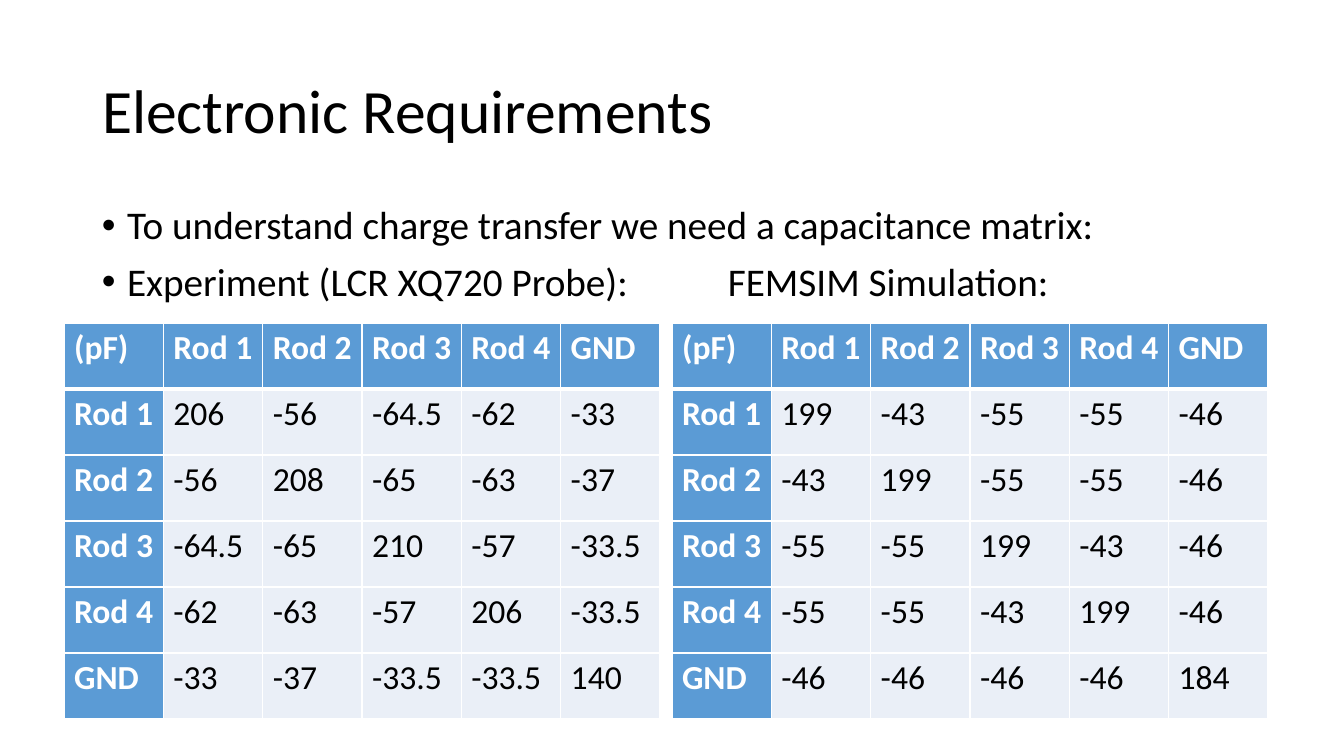
from lxml import etree
from pptx import Presentation
from pptx import util as u
from pptx.dml.color import RGBColor
from pptx.enum import text
from pptx.oxml.ns import qn

EMU_PER_PX = 914400 / 100.8
FONT = "Calibri"
BLACK, WHITE, BLUE, PALE = "000000", "FFFFFF", "5B9BD5", "EAEFF7"

HEADS = ["Rod 1", "Rod 2", "Rod 3", "Rod 4", "GND"]
EXPERIMENT = [
    ["206", "-56", "-64.5", "-62", "-33"],
    ["-56", "208", "-65", "-63", "-37"],
    ["-64.5", "-65", "210", "-57", "-33.5"],
    ["-62", "-63", "-57", "206", "-33.5"],
    ["-33", "-37", "-33.5", "-33.5", "140"],
]
SIMULATION = [
    ["199", "-43", "-55", "-55", "-46"],
    ["-43", "199", "-55", "-55", "-46"],
    ["-55", "-55", "199", "-43", "-46"],
    ["-55", "-55", "-43", "199", "-46"],
    ["-46", "-46", "-46", "-46", "184"],
]


def px(n):
    return u.Emu(round(n * EMU_PER_PX))


def rgb(value):
    return RGBColor.from_string(value)


def set_attrs(obj, values):
    for name, value in values.items():
        setattr(obj, name, value)


def write(p, words, size, color=BLACK, bold=False):
    r = p.add_run()
    r.text = words
    set_attrs(r.font, {"name": FONT, "size": u.Pt(size), "bold": bold})
    r.font.color.rgb = rgb(color)


def add_title(s, words):
    sp = s.shapes.title
    set_attrs(sp, {"left": px(92), "top": px(40), "width": px(1159), "height": px(147)})
    tf = sp.text_frame
    set_attrs(tf, {"vertical_anchor": text.MSO_ANCHOR.MIDDLE, "word_wrap": True,
                   "auto_size": text.MSO_AUTO_SIZE.NONE})
    p = tf.paragraphs[0]
    set_attrs(p, {"alignment": text.PP_ALIGN.LEFT, "line_spacing": 0.9})
    write(p, words, 44)


def add_bullets(s, lines, tab):
    tf = s.shapes.add_textbox(px(92), px(201), px(1159), px(480)).text_frame
    tf.word_wrap = True
    for i, line in enumerate(lines):
        p = tf.add_paragraph() if i else tf.paragraphs[0]
        set_attrs(p, {"line_spacing": 0.9, "space_before": u.Pt(10)})
        write(p, line, 28)
        # Hanging bullet, and a tab stop for the second column's heading
        pPr = p._p.get_or_add_pPr()
        pPr.set("marL", str(u.Inches(0.25)))
        pPr.set("indent", str(-u.Inches(0.25)))
        etree.SubElement(pPr, qn("a:buFont"), typeface="Arial")
        etree.SubElement(pPr, qn("a:buChar"), char="•")
        tabs = etree.SubElement(pPr, qn("a:tabLst"))
        etree.SubElement(tabs, qn("a:tab"), pos=str(px(tab)), algn="l")


def add_borders(cell, is_head, below_head):
    tcPr = cell._tc.get_or_add_tcPr()
    widths = {"lnL": 1, "lnR": 1, "lnT": 3 if below_head else 1, "lnB": 3 if is_head else 1}
    for i, (side, width) in enumerate(widths.items()):
        ln = etree.Element(qn("a:" + side), w=str(u.Pt(width)))
        fill = etree.SubElement(ln, qn("a:solidFill"))
        etree.SubElement(fill, qn("a:srgbClr"), val=WHITE)
        tcPr.insert(i, ln)


def add_matrix(s, left, values):
    rows = [["(pF)"] + HEADS] + [[head] + row for head, row in zip(HEADS, values)]
    n = len(rows)
    table = s.shapes.add_table(n, n, px(left), px(323), px(596), px(66 * n)).table
    for col, row in zip(table.columns, table.rows):
        col.width, row.height = px(596 / n), px(66)
    for i, row in enumerate(rows):
        for j, words in enumerate(row):
            cell = table.cell(i, j)
            is_label = i == 0 or j == 0
            cell.margin_right = px(6)  # keeps each label on one line
            cell.fill.solid()
            cell.fill.fore_color.rgb = rgb(BLUE if is_label else PALE)
            write(cell.text_frame.paragraphs[0], words, 24,
                  WHITE if is_label else BLACK, is_label)
            add_borders(cell, i == 0, i == 1)


def main():
    prs = Presentation()
    set_attrs(prs, {"slide_width": px(1344), "slide_height": px(756)})
    s = prs.slides.add_slide(prs.slide_layouts[5])

    # Heading and column captions
    add_title(s, "Electronic Requirements")
    add_bullets(s, ["To understand charge transfer we need a capacitance matrix:",
                    "Experiment (LCR XQ720 Probe):\tFEMSIM Simulation:"], 626)

    # Capacitance matrices side by side
    for left, values in ((64, EXPERIMENT), (672, SIMULATION)):
        add_matrix(s, left, values)

    prs.save("out.pptx")


if __name__ == "__main__":
    main()
